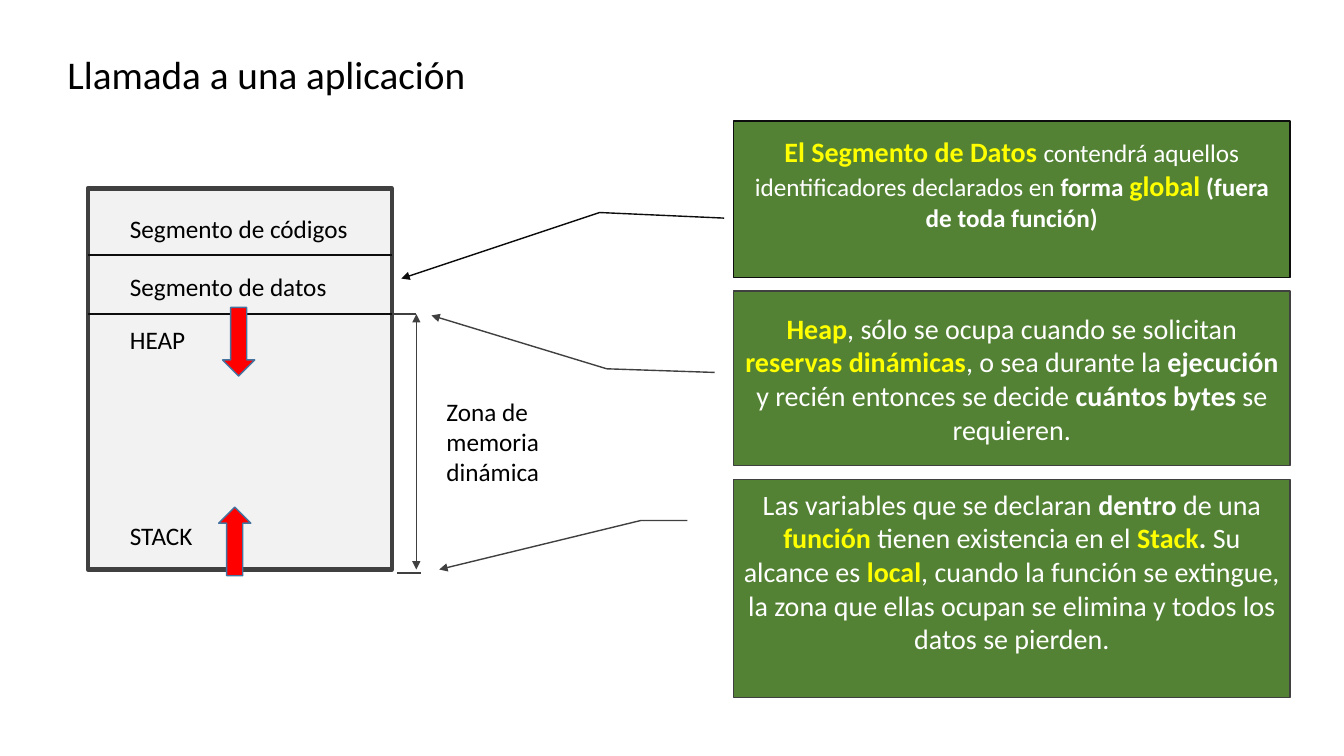
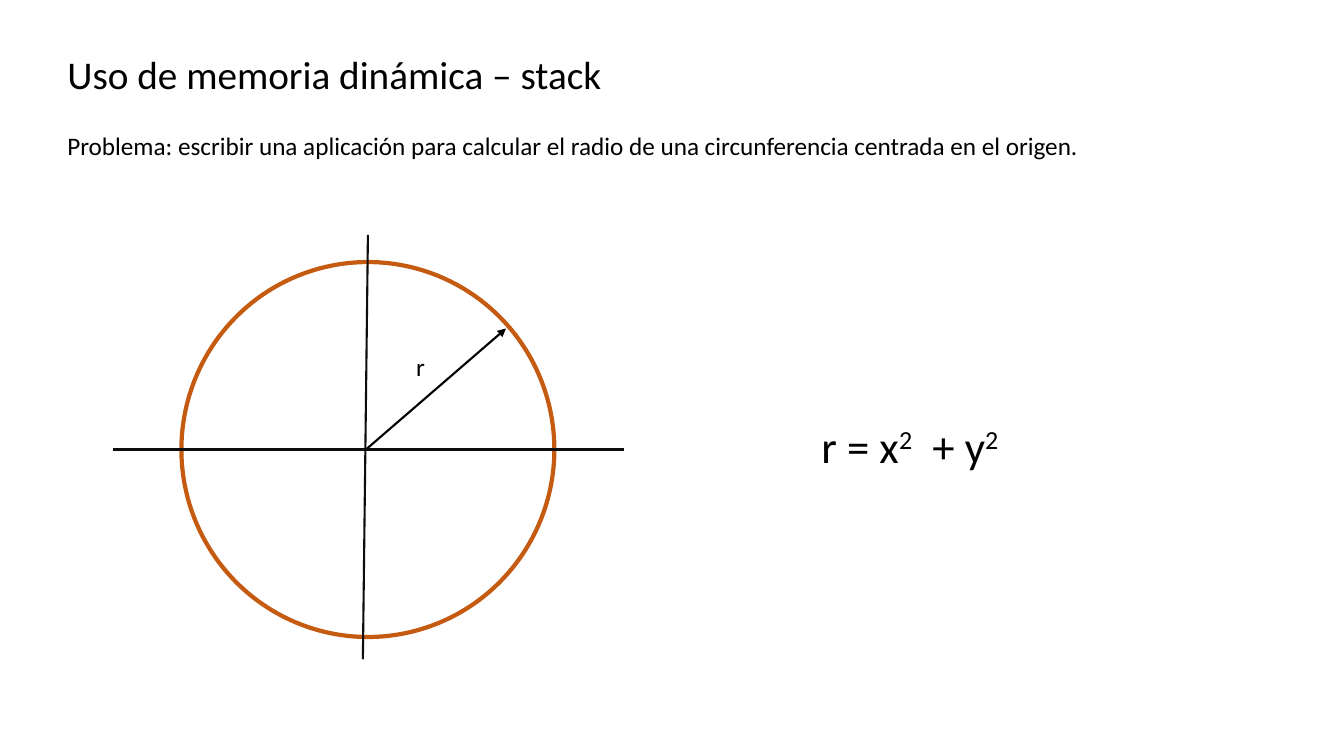
from lxml import etree
from pptx import Presentation
from pptx.dml.color import RGBColor
from pptx.enum.shapes import MSO_CONNECTOR, MSO_SHAPE
from pptx.enum.text import MSO_ANCHOR, MSO_AUTO_SIZE, PP_ALIGN
from pptx.oxml.ns import qn
from pptx.util import Pt

STRAIGHT = MSO_CONNECTOR.STRAIGHT
RECT, OVAL = MSO_SHAPE.RECTANGLE, MSO_SHAPE.OVAL
DOWN, UP = MSO_SHAPE.DOWN_ARROW, MSO_SHAPE.UP_ARROW
CALLOUT = MSO_SHAPE.LINE_CALLOUT_2
TOP, MIDDLE = MSO_ANCHOR.TOP, MSO_ANCHOR.MIDDLE
LEFT, CENTER = PP_ALIGN.LEFT, PP_ALIGN.CENTER

FONT = "Calibri"
BLACK, INK, GRAY, WHITE = "000000", "0D0D0D", "404040", "FFFFFF"
GREEN, YELLOW, RED, BLUE = "548235", "FFFF00", "FF0000", "43739E"
PALE, ORANGE = "F2F2F2", "C55A11"
MARGIN = 41

PLAIN, BOLD, KEY = "plain", "bold", "key"
CALLOUT_LEFT, CALLOUT_TOP, CALLOUT_WIDTH, CALLOUT_GAP = 524, 86.4, 397.5, 10

# height, text size, blank space below the text, line colour, leader (y, x pairs), runs
CALLOUTS = [
    (111.6, 18, 22, INK, (0.622, -0.017, 0.586, -0.241, 1.009, -0.597), [
        ("El Segmento de Datos ", KEY),
        ("contendrá aquellos identificadores declarados en ", PLAIN),
        ("forma ", BOLD), ("global", KEY), (" (fuera de toda función)", BOLD)]),
    (124.6, 20, 0, GRAY, (0.466, -0.034, 0.445, -0.228, 0.139, -0.543), [
        ("Heap", KEY), (", sólo se ocupa cuando se solicitan ", PLAIN),
        ("reservas dinámicas", KEY), (", o sea durante la ", PLAIN),
        ("ejecución", BOLD), (" y recién entonces se decide ", PLAIN),
        ("cuántos bytes ", BOLD), ("se requieren.", PLAIN)]),
    (155.5, 20, 24.4, GRAY, (0.188, -0.083, 0.188, -0.167, 0.413, -0.529), [
        ("Las variables que se declaran ", PLAIN), ("dentro", BOLD),
        (" de una ", PLAIN), ("función ", KEY),
        ("tienen existencia en el ", PLAIN), ("Stack", KEY), (". ", BOLD),
        ("Su alcance es ", PLAIN), ("local", KEY),
        (", cuando la función se extingue, la zona que ellas ocupan se "
         "elimina y todos los datos se pierden.", PLAIN)]),
]


def rgb(color):
    return RGBColor.from_string(color)


def style_font(font, size, color, bold=False):
    font.name, font.size, font.bold = FONT, Pt(size), bold
    font.color.rgb = rgb(color)


def add_arrowheads(line, *ends):
    """Put a triangle on the given ends, named headEnd and tailEnd."""
    ln = line._get_or_add_ln()
    for end in ends:
        etree.SubElement(ln, qn("a:" + end), type="triangle")


def add_title(slide, text):
    sp = slide.shapes.title
    sp.left, sp.top, sp.width, sp.height = Pt(MARGIN), Pt(32), Pt(800), Pt(41)
    tf = sp.text_frame
    tf.auto_size = MSO_AUTO_SIZE.NONE
    tf.vertical_anchor = TOP
    tf.text = text
    p = tf.paragraphs[0]
    p.alignment = LEFT
    style_font(p.font, 28, BLACK)


def add_text(slide, left, top, width, text, size=18):
    """Add a text box with one paragraph for each line of text."""
    lines = text.split("\n")
    height = len(lines) * size * 1.22 + 7.2
    sp = slide.shapes.add_textbox(Pt(left), Pt(top), Pt(width), Pt(height))
    tf = sp.text_frame
    tf.word_wrap = True
    tf.text = text
    for p in tf.paragraphs:
        style_font(p.font, size, BLACK)
    return tf


def add_shape(slide, kind, left, top, width, height, fill, line, weight=1):
    sp = slide.shapes.add_shape(kind, Pt(left), Pt(top), Pt(width), Pt(height))
    sp.shadow.inherit = False
    sp.fill.solid()
    sp.fill.fore_color.rgb = rgb(fill)
    sp.line.color.rgb = rgb(line)
    sp.line.width = Pt(weight)
    return sp


def add_line(slide, x1, y1, x2, y2, color, weight=1.5, ends=()):
    line = slide.shapes.add_connector(STRAIGHT, Pt(x1), Pt(y1), Pt(x2), Pt(y2))
    line.line.color.rgb = rgb(color)
    line.line.width = Pt(weight)
    add_arrowheads(line.line, *ends)
    etree.SubElement(line._element.spPr, qn("a:effectLst"))


def add_callout(slide, top, height, size, space_below, color, leader, runs):
    sp = add_shape(slide, CALLOUT, CALLOUT_LEFT, top, CALLOUT_WIDTH, height,
                   GREEN, color)
    for i, value in enumerate(leader):
        sp.adjustments[i] = value
    add_arrowheads(sp.line, "tailEnd")
    tf = sp.text_frame
    tf.word_wrap = True
    tf.vertical_anchor = MIDDLE
    tf.margin_bottom = Pt(3.6 + space_below)
    p = tf.paragraphs[0]
    p.alignment = CENTER
    for text, style in runs:
        r = p.add_run()
        r.text = text
        if style == KEY:
            style_font(r.font, 20, YELLOW, True)
        else:
            style_font(r.font, size, WHITE, style == BOLD)


def add_memory_map(slide):
    left, top, width, height = 62.6, 134.6, 217.4, 272.2
    right, bottom, heap_top, bracket = left + width, top + height, 224.4, 297.4
    add_shape(slide, RECT, left, top, width, height, PALE, GRAY, 3)
    for label, y in [("Segmento de códigos", 149), ("Segmento de datos", 190),
                     ("HEAP", 228.2), ("STACK", 368)]:
        add_text(slide, 85.7, y, 185, label)
    for y in (182.2, heap_top):
        add_line(slide, left, y, right, y, INK)
    add_shape(slide, DOWN, 159, 219.6, 23, 49, RED, BLUE)
    add_shape(slide, UP, 156.2, 362.2, 23, 49, RED, BLUE)
    add_line(slide, bracket, heap_top, bracket, bottom, GRAY, 0.5,
             ("headEnd", "tailEnd"))
    add_line(slide, right, heap_top, bracket, heap_top, GRAY)
    add_line(slide, 283.7, 409, 301, 409, GRAY)
    add_text(slide, 311.8, 279.4, 100, "Zona de\nmemoria\ndinámica")


def add_circle_diagram(slide):
    center_x, center_y = 261.4, 321.1
    add_shape(slide, OVAL, 129.6, 187.2, 266.4, 267.8, WHITE, ORANGE, 3)
    add_line(slide, center_x, center_y, 361.4, 234.7, BLACK, ends=("tailEnd",))
    add_text(slide, 290.2, 247.7, 24, "r")
    add_line(slide, 262.8, 167.8, 259.2, 470.9, INK)
    add_line(slide, 80.6, center_y, 445.7, center_y, INK)


def add_formula(slide):
    p = add_text(slide, 579.6, 295.2, 200, "r = x", 32).paragraphs[0]
    for text, baseline in [("2", "30000"), ("  + y", "0"), ("2", "30000")]:
        r = p.add_run()
        r.text = text
        r._r.get_or_add_rPr().set("baseline", baseline)


def main():
    prs = Presentation()
    prs.slide_width, prs.slide_height = Pt(960), Pt(540)
    title_only = prs.slide_layouts[5]

    slide = prs.slides.add_slide(title_only)
    add_title(slide, "Llamada a una aplicación")
    top = CALLOUT_TOP
    for height, *content in CALLOUTS:
        add_callout(slide, top, height, *content)
        top += height + CALLOUT_GAP
    add_memory_map(slide)

    slide = prs.slides.add_slide(title_only)
    add_title(slide, "Uso de memoria dinámica – stack")
    add_text(slide, MARGIN, 89.3, 800,
             "Problema: escribir una aplicación para calcular el radio de una "
             "circunferencia centrada en el origen.")
    add_circle_diagram(slide)
    add_formula(slide)

    prs.save("out.pptx")


if __name__ == "__main__":
    main()
